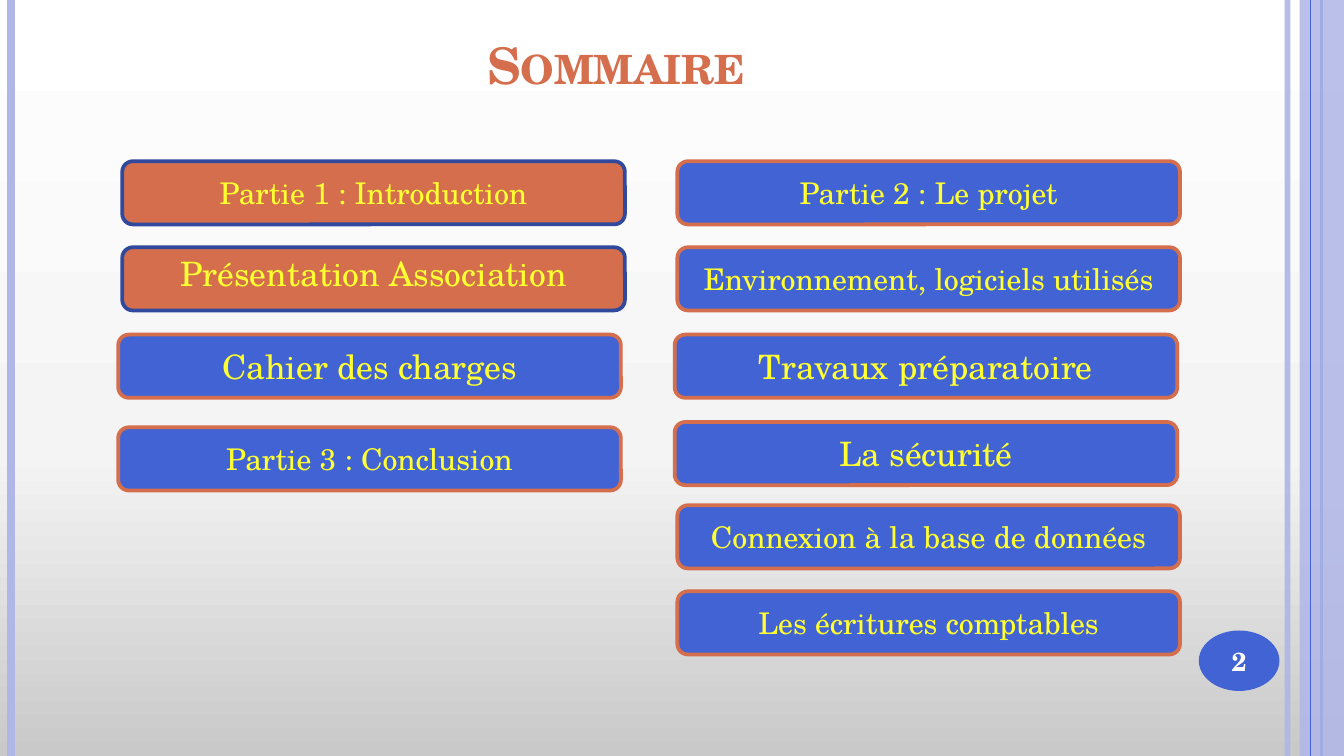
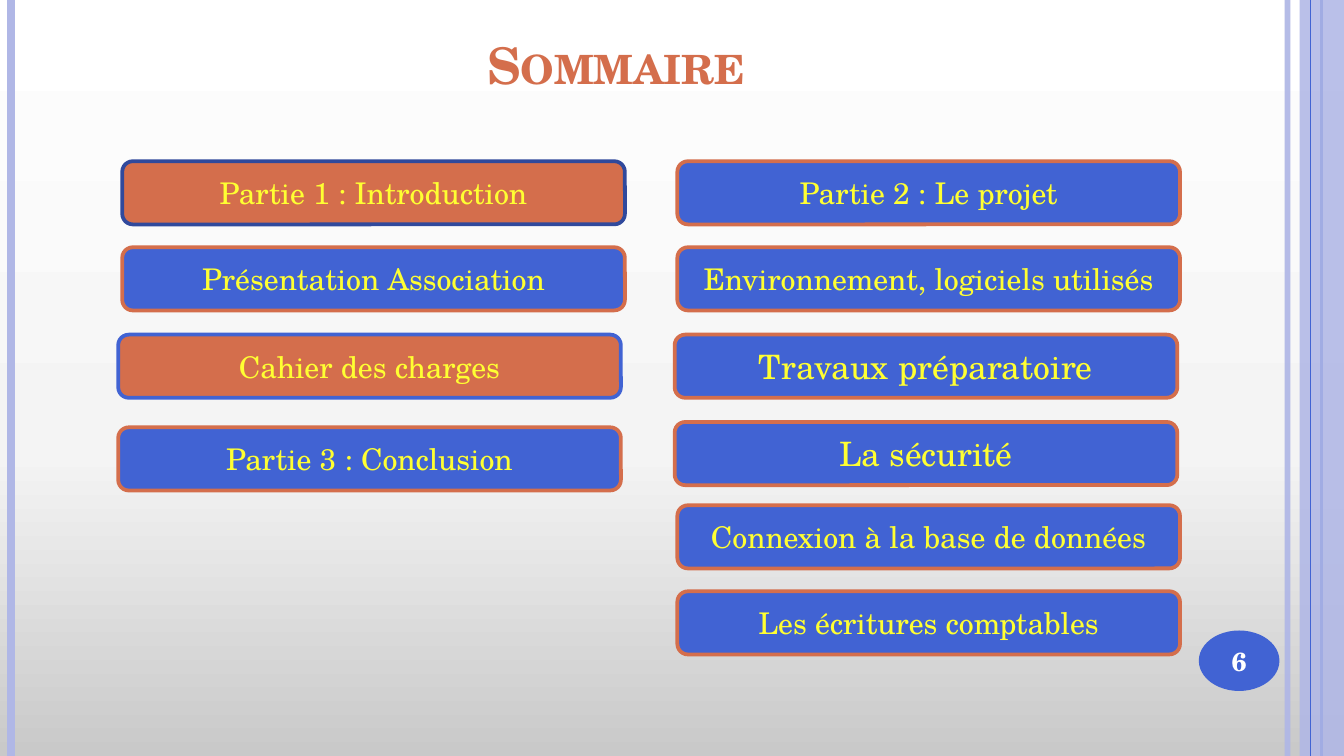
from dataclasses import dataclass

from lxml import etree
from pptx import Presentation
from pptx import util as u
from pptx.dml.color import RGBColor
from pptx.enum import shapes, text
from pptx.oxml import ns


@dataclass(frozen=True)
class Theme:
    font: str = "TeX Gyre Schola"
    blue: str = "4163D3"
    navy: str = "30499C"
    orange: str = "D46E4C"
    lilac: str = "B0B7E6"
    yellow: str = "FFFF32"
    white: str = "FFFFFF"
    backdrop: tuple = ((0, "C9C9C9"), (40, "F4F4F4"), (100, "FFFFFF"))
    title_size: int = 27
    number_size: int = 14
    small: int = 16
    large: int = 18
    card_line: int = 2


@dataclass(frozen=True)
class Card:
    label: str
    column: int
    row: int
    size: int = 16
    fill: str = "4163D3"
    line: str = "D46E4C"
    shift: float = 0
    drop: float = 0
    lift: float = 0


THEME = Theme()
WIDTH, HEIGHT = 10, 5.625
PAGE = (0, 0, WIDTH, HEIGHT)
TITLE = (0.5, 0.23, 8.17, 0.52)
PANEL = (0.91, 1.2, 7.87, 3.67)
COLUMNS, ROWS = 2, 6
CARD_WIDTH, CARD_HEIGHT = 3.74, 0.47

PROJECT = [
    Card("Partie 2 : Le projet", 1, 0),
    Card("Environnement, logiciels utilisés", 1, 1),
    Card("Travaux préparatoire", 1, 2, THEME.large, shift=-0.02, drop=0.01),
    Card("La sécurité", 1, 3, THEME.large, shift=-0.02, drop=0.02),
    Card("Connexion à la base de données", 1, 4),
    Card("Les écritures comptables", 1, 5),
]
INTRODUCTION = Card("Partie 1 : Introduction", 0, 0,
                    fill=THEME.orange, line=THEME.navy)
CONCLUSION = Card("Partie 3 : Conclusion", 0, 3, shift=-0.03, drop=0.06)

AGENDAS = {
    "2": [
        INTRODUCTION,
        Card("Présentation Association", 0, 1, THEME.large,
             THEME.orange, THEME.navy, lift=0.04),
        Card("Cahier des charges", 0, 2, THEME.large, shift=-0.03, drop=0.01),
        CONCLUSION,
        *PROJECT,
    ],
    "6": [
        INTRODUCTION,
        Card("Présentation Association", 0, 1),
        Card("Cahier des charges", 0, 2, fill=THEME.orange, line=THEME.blue,
             shift=-0.03, drop=0.01),
        CONCLUSION,
        *PROJECT,
    ],
}


def inches(*lengths):
    return [u.Inches(length) for length in lengths]


def set_alpha(shape, percent):
    color = shape.element.spPr.find(".//" + ns.qn("a:srgbClr"))
    etree.SubElement(color, ns.qn("a:alpha")).set("val", str(percent * 1000))


def write(box, words, size, color, bold=False, small_caps=False,
          anchor=text.MSO_ANCHOR.MIDDLE, top=0.0, bottom=0.0):
    frame = box.text_frame
    frame.word_wrap = True
    frame.vertical_anchor = anchor
    frame.margin_top, frame.margin_bottom = inches(top, bottom)
    para = frame.paragraphs[0]
    para.alignment = text.PP_ALIGN.CENTER
    span = para.add_run()
    span.text = words
    span.font.name = THEME.font
    span.font.size = u.Pt(size)
    span.font.bold = bold
    span.font.color.rgb = RGBColor.from_string(color)
    if small_caps:
        span.font._element.set("cap", "small")


def add_block(page, kind, area, fill, line=None):
    shape = page.shapes.add_shape(kind, *inches(*area))
    shape.shadow.inherit = False
    shape.fill.solid()
    shape.fill.fore_color.rgb = RGBColor.from_string(fill)
    if line:
        shape.line.color.rgb = RGBColor.from_string(line)
        shape.line.width = u.Pt(THEME.card_line)
    else:
        shape.line.fill.background()
    return shape


def add_rule(page, x, top, height, color, weight):
    rule = page.shapes.add_connector(
        shapes.MSO_CONNECTOR.STRAIGHT, *inches(x, top, x, top + height))
    rule.line.color.rgb = RGBColor.from_string(color)
    rule.line.width = u.Pt(weight)
    etree.SubElement(rule.element.spPr, ns.qn("a:effectLst"))
    return rule


def paint_backdrop(deck):
    master = deck.slide_master
    fill = master.background.fill
    fill.gradient()
    fill.gradient_angle = 90
    stops = master.element.find(".//" + ns.qn("a:gsLst"))
    for stop in list(stops):
        stops.remove(stop)
    for position, color in THEME.backdrop:
        stop = etree.SubElement(stops, ns.qn("a:gs"), pos=str(position * 1000))
        etree.SubElement(stop, ns.qn("a:srgbClr"), val=color)


def add_frame(page, area, number):
    left, top, width, height = area
    right = left + width
    inner = add_rule(page, right - 0.42, top, height, THEME.lilac, 3)
    set_alpha(inner, 93)
    add_rule(page, left + 0.08, top, height, THEME.lilac, 4.5)
    add_rule(page, right - 0.17, top, height, THEME.blue, 1.5)
    band = add_block(page, shapes.MSO_SHAPE.RECTANGLE,
                     (right - 0.33, top, 0.33, height), THEME.lilac)
    set_alpha(band, 87)
    add_rule(page, right - 0.25, top, height, THEME.blue, 0.75)
    badge = add_block(page, shapes.MSO_SHAPE.OVAL,
                      (right - 1.08, top + height * 0.834, 0.6, 0.45), THEME.blue)
    write(badge, number, THEME.number_size, THEME.white, bold=True)


def add_title(page, area, words):
    box = page.shapes.add_textbox(*inches(*area))
    write(box, words, THEME.title_size, THEME.orange, bold=True,
          small_caps=True, anchor=text.MSO_ANCHOR.BOTTOM, top=0.05, bottom=0.05)


def add_agenda(page, area, cards):
    left, top, width, height = area
    column_step = (width - CARD_WIDTH) / (COLUMNS - 1)
    row_step = (height - CARD_HEIGHT) / (ROWS - 1)
    for card in cards:
        place = (left + card.column * column_step + card.shift,
                 top + card.row * row_step + card.drop,
                 CARD_WIDTH, CARD_HEIGHT)
        box = add_block(page, shapes.MSO_SHAPE.ROUNDED_RECTANGLE,
                        place, card.fill, card.line)
        write(box, card.label, card.size, THEME.yellow, bottom=2 * card.lift)


def add_summary_page(deck, number, cards):
    page = deck.slides.add_slide(deck.slide_layouts[6])
    add_frame(page, PAGE, number)
    add_title(page, TITLE, "Sommaire")
    add_agenda(page, PANEL, cards)


def main():
    deck = Presentation()
    deck.slide_width, deck.slide_height = inches(WIDTH, HEIGHT)
    paint_backdrop(deck)
    for number, cards in AGENDAS.items():
        add_summary_page(deck, number, cards)
    deck.save("out.pptx")


if __name__ == "__main__":
    main()
